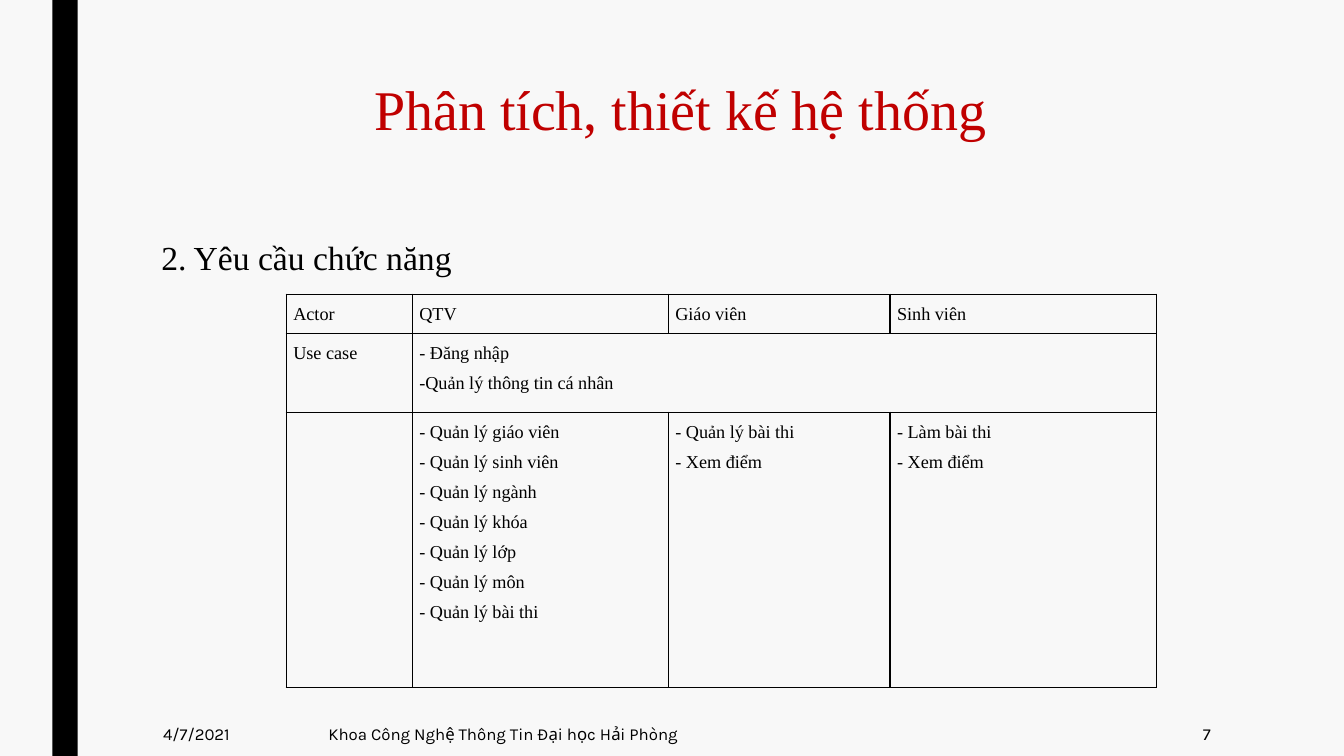
"""Builds the slide on functional requirements with its actor table."""
from dataclasses import dataclass

from lxml import etree
from pptx import Presentation
from pptx.dml.color import RGBColor
from pptx.enum.shapes import MSO_SHAPE
from pptx.enum.text import MSO_ANCHOR, MSO_AUTO_SIZE, PP_ALIGN
from pptx.oxml.ns import qn
from pptx.util import Inches, Pt

RECTANGLE = MSO_SHAPE.RECTANGLE
TOP, MIDDLE = MSO_ANCHOR.TOP, MSO_ANCHOR.MIDDLE
LEFT, CENTER, RIGHT, JUSTIFY = PP_ALIGN.LEFT, PP_ALIGN.CENTER, PP_ALIGN.RIGHT, PP_ALIGN.JUSTIFY
NO_FIT = MSO_AUTO_SIZE.NONE
PAPER = RGBColor(0xF8, 0xF8, 0xF8)
BLACK = RGBColor(0x00, 0x00, 0x00)
RED = RGBColor(0xC0, 0x00, 0x00)
SERIF, SANS = "Times New Roman", "Karla"
SLIDE_WIDTH, SLIDE_HEIGHT = Inches(13.33), Inches(7.5)
FOOTER_TOP, FOOTER_HEIGHT = 94.13, 5.87
COLUMNS = (9.38, 19.05, 16.5, 19.8)
ROWS = (5.2, 10.4, 36.4)


@dataclass(frozen=True)
class Frame:
    """A box in percent of the slide's width and height."""
    left: float
    top: float
    width: float
    height: float

    def lengths(self) -> tuple[int, int, int, int]:
        return across(self.left), down(self.top), across(self.width), down(self.height)


@dataclass(frozen=True)
class Style:
    """The look of a paragraph."""
    font: str
    size: float
    color: RGBColor = BLACK
    align: PP_ALIGN = LEFT
    spacing: float = 1.0


@dataclass(frozen=True)
class FooterItem:
    """One piece of text on the bottom line."""
    text: str
    left: float
    width: float
    align: PP_ALIGN = LEFT


@dataclass(frozen=True)
class Entry:
    """The lines of one table cell."""
    row: int
    column: int
    lines: tuple[str, ...]


TITLE_STYLE = Style(SERIF, 40, RED, CENTER, 0.89)
HEADING_STYLE = Style(SERIF, 24, align=JUSTIFY, spacing=1.6)
CELL_STYLE = Style(SERIF, 13, align=JUSTIFY, spacing=1.5)
FOOTER = (
    FooterItem("4/7/2021", 11.4, 9.9),
    FooterItem("Khoa Công Nghệ Thông Tin Đại học Hải Phòng", 23.7, 51.53),
    FooterItem("7", 77.7, 13.12, RIGHT),
)
ENTRIES = (
    Entry(0, 0, ("Actor",)),
    Entry(0, 1, ("QTV",)),
    Entry(0, 2, ("Giáo viên",)),
    Entry(0, 3, ("Sinh viên",)),
    Entry(1, 0, ("Use case",)),
    Entry(1, 1, ("- Đăng nhập", "-Quản lý thông tin cá nhân")),
    Entry(2, 1, ("- Quản lý giáo viên", "- Quản lý sinh viên", "- Quản lý ngành",
                 "- Quản lý khóa", "- Quản lý lớp", "- Quản lý môn", "- Quản lý bài thi")),
    Entry(2, 2, ("- Quản lý bài thi", "- Xem điểm")),
    Entry(2, 3, ("- Làm bài thi", "- Xem điểm")),
)


def across(percent: float) -> int:
    """Turn a share of the slide's width into a length."""
    return round(SLIDE_WIDTH * percent / 100)


def down(percent: float) -> int:
    """Turn a share of the slide's height into a length."""
    return round(SLIDE_HEIGHT * percent / 100)


def write(text_frame, lines: tuple[str, ...], style: Style) -> None:
    """Write one styled paragraph for each line."""
    text_frame.word_wrap = True
    text_frame.text = "\n".join(lines)
    for para in text_frame.paragraphs:
        para.alignment = style.align
        para.line_spacing = style.spacing
        para.space_before = Pt(0)
        para.font.name = style.font
        para.font.size = Pt(style.size)
        para.font.color.rgb = style.color


def fill_placeholder(box, frame: Frame, text: str, style: Style, anchor: MSO_ANCHOR) -> None:
    """Move a placeholder and write its text without a bullet."""
    box.left, box.top, box.width, box.height = frame.lengths()
    write(box.text_frame, (text,), style)
    box.text_frame.auto_size = NO_FIT
    box.text_frame.vertical_anchor = anchor
    for para in box.text_frame.paragraphs:
        properties = para._p.get_or_add_pPr()
        properties.set("marL", "0")
        properties.set("indent", "0")
        properties.append(etree.Element(qn("a:buNone")))


def add_band(page) -> None:
    """Draw the vertical band at the left."""
    band = page.shapes.add_shape(RECTANGLE, *Frame(3.9, 0, 1.88, 100).lengths())
    band.shadow.inherit = False
    band.fill.solid()
    band.fill.fore_color.rgb = BLACK
    band.line.fill.background()


def add_footer_item(page, item: FooterItem) -> None:
    """Add one piece of the bottom line."""
    frame = Frame(item.left, FOOTER_TOP, item.width, FOOTER_HEIGHT)
    box = page.shapes.add_textbox(*frame.lengths())
    write(box.text_frame, (item.text,), Style(SANS, 12, align=item.align))
    box.text_frame.vertical_anchor = MIDDLE


def format_cell(cell) -> None:
    """Clear the fill, set the margins and draw the four borders."""
    cell.fill.background()
    cell.margin_left = cell.margin_right = Inches(0.07)
    cell.margin_top = cell.margin_bottom = 0
    properties = cell._tc.get_or_add_tcPr()
    for position, side in enumerate(("a:lnL", "a:lnR", "a:lnT", "a:lnB")):
        border = etree.Element(qn(side), w=str(Pt(1)))
        solid = etree.SubElement(border, qn("a:solidFill"))
        etree.SubElement(solid, qn("a:srgbClr"), val=str(BLACK))
        properties.insert(position, border)


def add_actor_table(page) -> None:
    """Add the table of use cases for each actor."""
    frame = Frame(21.3, 38.93, sum(COLUMNS), sum(ROWS))
    table = page.shapes.add_table(len(ROWS), len(COLUMNS), *frame.lengths()).table
    table.first_row = table.horz_banding = False
    for column, share in zip(table.columns, COLUMNS):
        column.width = across(share)
    for row, share in zip(table.rows, ROWS):
        row.height = down(share)
    for cell in table.iter_cells():
        format_cell(cell)
    table.cell(1, 1).merge(table.cell(1, 3))
    for entry in ENTRIES:
        write(table.cell(entry.row, entry.column).text_frame, entry.lines, CELL_STYLE)


def main() -> None:
    """Build and save the deck."""
    deck = Presentation()
    deck.slide_width, deck.slide_height = SLIDE_WIDTH, SLIDE_HEIGHT
    page = deck.slides.add_slide(deck.slide_layouts[1])
    page.background.fill.solid()
    page.background.fill.fore_color.rgb = PAPER
    title, body = page.placeholders
    add_band(page)
    fill_placeholder(title, Frame(11.25, 10, 78.75, 9.87),
                     "Phân tích, thiết kế hệ thống", TITLE_STYLE, MIDDLE)
    fill_placeholder(body, Frame(11.25, 27.47, 78.75, 52.27),
                     "2. Yêu cầu chức năng", HEADING_STYLE, TOP)
    for item in FOOTER:
        add_footer_item(page, item)
    add_actor_table(page)
    deck.save("out.pptx")


main()
